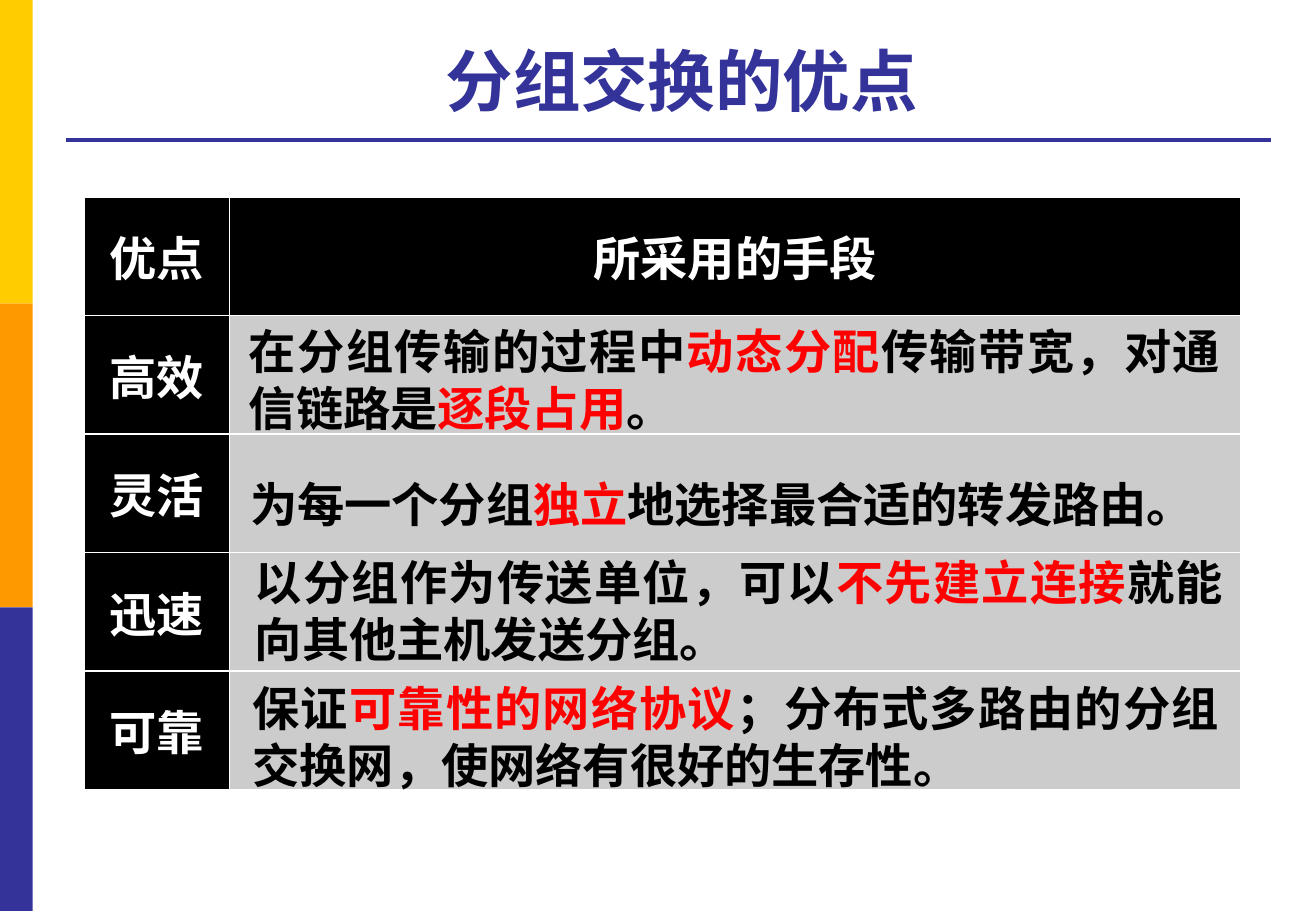
"""Build the slide on the advantages of packet switching."""
import pptx
import pptx.util
import pptx.dml.color
import pptx.enum.shapes
import pptx.enum.text
import pptx.oxml
import pptx.oxml.ns

Inches, Pt = pptx.util.Inches, pptx.util.Pt
RGBColor = pptx.dml.color.RGBColor
PP_ALIGN = pptx.enum.text.PP_ALIGN
ANCHOR = pptx.enum.text.MSO_ANCHOR
AUTO_SIZE = pptx.enum.text.MSO_AUTO_SIZE

YELLOW = RGBColor(0xFF, 0xCC, 0x00)
ORANGE = RGBColor(0xFF, 0x99, 0x00)
INDIGO = RGBColor(0x33, 0x33, 0x99)
BLACK = RGBColor(0, 0, 0)
GREY = RGBColor(0xCC, 0xCC, 0xCC)
WHITE = RGBColor(0xFF, 0xFF, 0xFF)
RED = RGBColor(0xFF, 0, 0)
CJK_FONT = "Noto Sans CJK SC"


def style_run(r, size, color, latin=CJK_FONT):
    r.font.size = Pt(size)
    r.font.bold = True
    r.font.color.rgb = color
    r.font.name = latin
    ea = pptx.oxml.parse_xml(f'<a:ea {pptx.oxml.ns.nsdecls("a")} typeface="{CJK_FONT}"/>')
    r.font._element.find(pptx.oxml.ns.qn("a:latin")).addnext(ea)


prs = pptx.Presentation()
prs.slide_width, prs.slide_height = Inches(10.83), Inches(7.5)
s = prs.slides.add_slide(prs.slide_layouts[5])

for i, color in enumerate((YELLOW, ORANGE, INDIGO)):
    sp = s.shapes.add_shape(pptx.enum.shapes.MSO_SHAPE.RECTANGLE,
                            0, Inches(2.5 * i), Inches(0.27), Inches(2.5))
    sp.shadow.inherit = False
    sp.fill.solid()
    sp.fill.fore_color.rgb = color
    sp.line.fill.background()

rule = s.shapes.add_connector(pptx.enum.shapes.MSO_CONNECTOR.STRAIGHT,
                              Inches(0.54), Inches(1.15), Inches(10.46), Inches(1.15))
rule.line.color.rgb = INDIGO
rule.line.width = Pt(2.25)
rule._element.spPr.append(
    pptx.oxml.parse_xml(f'<a:effectLst {pptx.oxml.ns.nsdecls("a")}/>'))

title = s.shapes.title
title.left, title.top = Inches(1.32), Inches(0.36)
title.width, title.height = Inches(8.58), Inches(0.63)
tf = title.text_frame
tf.text = "分组交换的优点"
tf.auto_size = AUTO_SIZE.NONE
tf.vertical_anchor = ANCHOR.BOTTOM
tf.margin_bottom = 0
tf.paragraphs[0].alignment = PP_ALIGN.CENTER
style_run(tf.paragraphs[0].runs[0], 40, INDIGO, "Times New Roman")

rows = [("优点", "所采用的手段"), ("高效", ""), ("灵活", ""), ("迅速", ""), ("可靠", "")]
table = s.shapes.add_table(len(rows), 2, Inches(0.69), Inches(1.62),
                           Inches(9.52), Inches(4.88)).table
table.horz_banding = False
table.columns[0].width, table.columns[1].width = Inches(1.2), Inches(8.32)
for i, row in enumerate(rows):
    for j, text in enumerate(row):
        cell = table.cell(i, j)
        cell.fill.solid()
        cell.fill.fore_color.rgb = BLACK if text else GREY
        cell.vertical_anchor = ANCHOR.MIDDLE
        if text:
            cell.text_frame.text = text
            p = cell.text_frame.paragraphs[0]
            p.alignment = PP_ALIGN.CENTER
            style_run(p.runs[0], 28, WHITE)

means = [
    (1.95, 2.57, 8.19, 1.04, [("在分组传输的过程中", BLACK), ("动态分配", RED),
                              ("传输带宽，对通信链路是", BLACK), ("逐段占用", RED),
                              ("。", BLACK)]),
    (1.96, 3.83, 8.21, 0.57, [("为每一个分组", BLACK), ("独立", RED),
                              ("地选择最合适的转发路由。", BLACK)]),
    (2, 4.47, 8.16, 1.04, [("以分组作为传送单位，可以", BLACK), ("不先建立连接", RED),
                           ("就能向其他主机发送分组。", BLACK)]),
    (1.98, 5.51, 8.15, 1.04, [("保证", BLACK), ("可靠性的网络协议", RED),
                              ("；分布式多路由的分组交换网，使网络有很好的生存性。", BLACK)]),
]
for left, top, width, height, parts in means:
    sp = s.shapes.add_textbox(Inches(left), Inches(top), Inches(width), Inches(height))
    tf = sp.text_frame
    tf.word_wrap = True
    tf.margin_top, tf.margin_bottom = Inches(0.08), Inches(0.02)
    p = tf.paragraphs[0]
    p.alignment = PP_ALIGN.JUSTIFY
    p.line_spacing = Pt(33.8)
    for text, color in parts:
        r = p.add_run()
        r.text = text
        style_run(r, 28, color)

prs.save("out.pptx")
